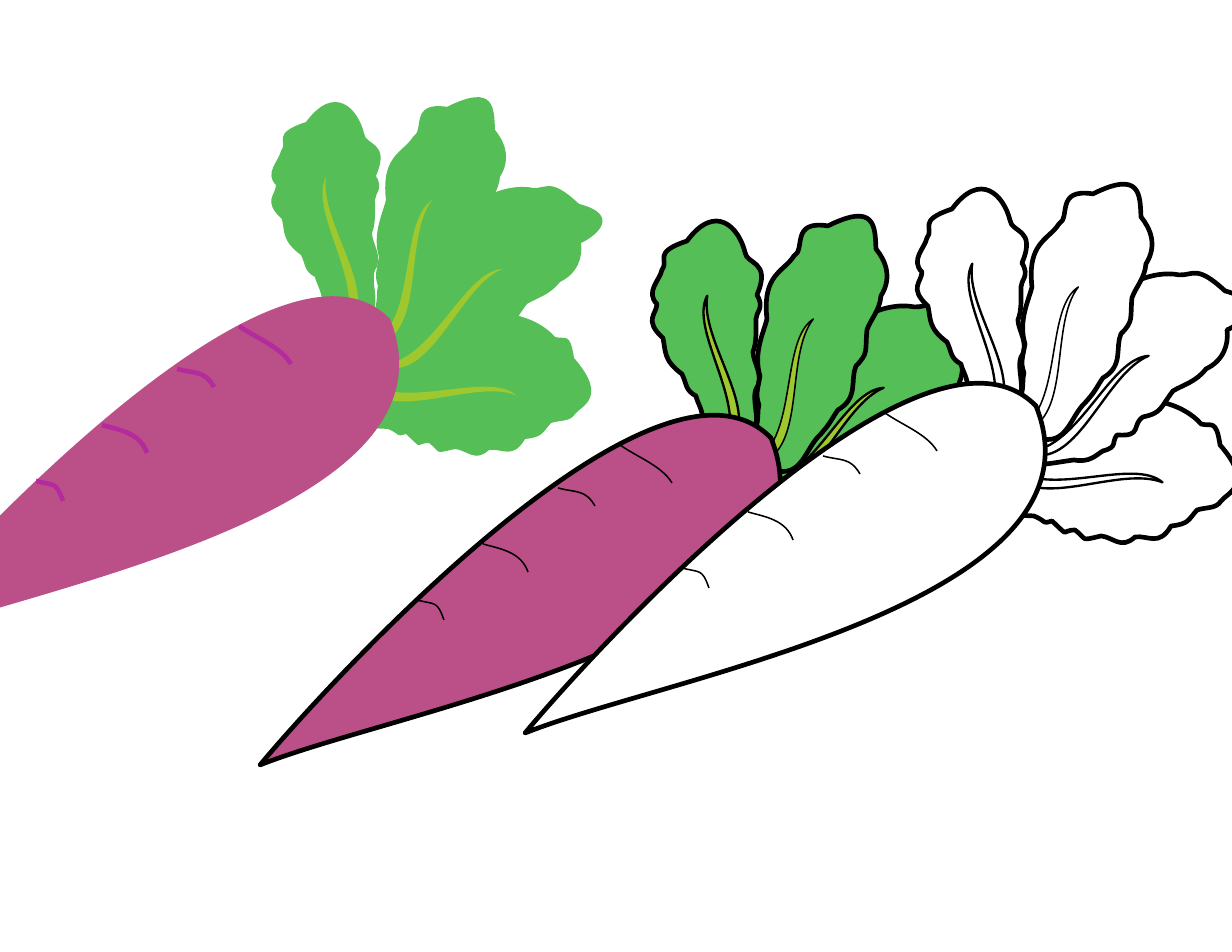
import math

import pptx
import pptx.dml.color
import pptx.oxml
import pptx.oxml.ns
import pptx.util

PX = 914400 / 112
STEPS = 16
COLORS = {
    "leaf": "56BE56",
    "vein": "9EC82D",
    "root": "BB5088",
    "crease": "B42B9D",
    "ink": "000000",
    "paper": "FFFFFF",
}

UPRIGHT_LEAF = [
    (427, 27), (456, -12), (479, 14), (485, 38), (486, 51), (512, 46), (497, 81),
    (505, 94), (496, 98), (496, 105), (496, 115), (497, 128), (493, 138),
    (493, 148), (505, 163), (496, 175), (490, 191), (509, 219), (479, 226),
    (460, 230), (447, 215), (443, 203), (440, 190), (438, 190), (436, 182),
    (425, 176), (427, 170), (422, 160), (403, 146), (406, 137), (403, 124),
    (383, 106), (397, 100), (397, 90), (385, 78), (400, 66), (402, 56),
    (410, 46), (391, 39), (427, 27),
]
LOW_LEAF = [
    (695, 263), (730, 303), (702, 311), (696, 319), (691, 327), (681, 325), (672, 328),
    (663, 338), (664, 342), (646, 344), (634, 365), (623, 353), (610, 355),
    (596, 368), (588, 355), (576, 354), (554, 359), (563, 358), (550, 348),
    (535, 348), (546, 357), (527, 339), (516, 342), (523, 340), (509, 334),
    (500, 333), (492, 336), (480, 322), (467, 315), (431, 298), (429, 287),
    (429, 265), (449, 255), (464, 254), (479, 254), (479, 251), (489, 250),
    (498, 242), (505, 243), (518, 241), (539, 225), (562, 228), (577, 228),
    (618, 207), (660, 223), (676, 242), (686, 245), (691, 236), (695, 263),
]
SIDE_LEAF = [
    (700, 109), (746, 121), (712, 144), (702, 148), (704, 163), (698, 179), (681, 187),
    (671, 200), (658, 203), (648, 209), (635, 226), (637, 231), (618, 235),
    (606, 243), (618, 255), (592, 253), (586, 261), (593, 265), (578, 269),
    (571, 273), (565, 281), (549, 278), (533, 280), (495, 288), (486, 280),
    (472, 264), (483, 243), (494, 234), (506, 224), (504, 222), (511, 215),
    (513, 203), (520, 199), (528, 189), (535, 165), (556, 152), (568, 143),
    (587, 101), (630, 88), (654, 93), (668, 94), (671, 82), (700, 109),
]
TALL_LEAF = [
    (568, 12), (616, -12), (615, 13), (616, 35), (625, 46), (633, 63), (621, 82),
    (620, 96), (611, 105), (607, 116), (605, 137), (609, 139), (596, 152),
    (590, 166), (599, 184), (578, 196), (571, 206), (571, 209), (560, 221),
    (545, 235), (542, 265), (513, 256), (494, 251), (492, 230), (496, 215),
    (499, 202), (497, 200), (499, 191), (495, 180), (498, 175), (500, 162),
    (493, 139), (504, 118), (507, 105), (502, 60), (524, 58), (534, 42),
    (546, 36), (530, 6), (568, 12),
]
VEIN = [
    (72, -23), (27, -25), (-33, 43), (-72, 20), (-72, 20), (-72, 15), (-72, 15),
    (-26, 27), (37, -37), (72, -23),
]
ROOT = [(0, 551), (140, 495), (590, 421), (511, 224), (395, 105), (52, 488), (0, 551)]
CREASES = [
    [(360, 231), (377, 243), (402, 252), (412, 269)],
    [(298, 274), (316, 279), (325, 275), (335, 292)],
    [(223, 330), (241, 335), (261, 338), (268, 358)],
    [(157, 386), (175, 391), (177, 386), (184, 406)],
]


def turned(points, degrees):
    cos, sin = math.cos(math.radians(degrees)), math.sin(math.radians(degrees))
    return [(x * cos - y * sin, x * sin + y * cos) for x, y in points]


def shifted(points, dx, dy):
    return [(x + dx, y + dy) for x, y in points]


def curve_bounds(outline):
    points = [outline[0]]
    for start in range(0, len(outline) - 1, 3):
        corners = list(zip(*outline[start:start + 4]))
        for step in range(1, STEPS + 1):
            t = step / STEPS
            weights = ((1 - t) ** 3, 3 * t * (1 - t) ** 2, 3 * t * t * (1 - t), t ** 3)
            points.append(tuple(sum(w * v for w, v in zip(weights, axis)) for axis in corners))
    xs, ys = zip(*points)
    return min(xs), min(ys), max(xs), max(ys)


def upright_outline(outline, degrees):
    upright = turned(outline, -degrees)
    left, top, right, bottom = curve_bounds(upright)
    cx, cy = (left + right) / 2, (top + bottom) / 2
    [(px, py)] = turned([(cx, cy)], degrees)
    return shifted(upright, px - cx, py - cy)


def bend_segments(shape, outline):
    name = pptx.oxml.ns.qn
    [path] = shape._element.iter(name("a:path"))
    lines = path.findall(name("a:lnTo"))
    for start in range(0, len(lines), 3):
        curve = pptx.oxml.parse_xml(f"<a:cubicBezTo {pptx.oxml.ns.nsdecls('a')}/>")
        lines[start].addprevious(curve)
        for line in lines[start:start + 3]:
            curve.append(line[0])
            path.remove(line)
    left, top, right, bottom = (round(edge * PX) for edge in curve_bounds(outline))
    for point, (x, y) in zip(path.iter(name("a:pt")), outline):
        point.set("x", str(round(x * PX) - left))
        point.set("y", str(round(y * PX) - top))
    shape.left, shape.top = left, top
    shape.width, shape.height = right - left, bottom - top
    path.set("w", str(right - left))
    path.set("h", str(bottom - top))


def color_of(name):
    return pptx.dml.color.RGBColor.from_string(COLORS[name])


def draw_outline(group, box, outline, fill, line, width, turn=0, closed=True):
    outline = upright_outline(shifted(outline, *box), turn)
    vertices = [(x * PX, y * PX) for x, y in outline]
    builder = group.shapes.build_freeform(*vertices[0])
    builder.add_line_segments(vertices[1:], close=closed)
    shape = builder.convert_to_shape()
    bend_segments(shape, outline)
    shape.rotation = turn
    shape.shadow.inherit = False
    if fill:
        shape.fill.solid()
        shape.fill.fore_color.rgb = color_of(fill)
    else:
        shape.fill.background()
    if line:
        shape.line.color.rgb = color_of(line)
        shape.line.width = pptx.util.Pt(width)
    else:
        shape.line.fill.background()


def draw_radish(page, box, leaf, vein, root, line, crease, crease_fill, crease_width):
    group = page.shapes.add_group_shape()

    def draw_leaf(outline, turn):
        draw_outline(group, box, outline, leaf, line, 3, turn)

    def draw_vein(center, turn, width=1.5):
        outline = shifted(turned(VEIN, turn), *center)
        draw_outline(group, box, outline, vein, line, width, turn)

    draw_leaf(UPRIGHT_LEAF, 0)
    draw_leaf(LOW_LEAF, 100.5)
    draw_vein((461, 156), 277.3)
    draw_vein((562, 298), 19.6)
    draw_leaf(SIDE_LEAF, 62.9)
    draw_vein((568, 225), 335.2)
    draw_leaf(TALL_LEAF, 30)
    draw_vein((530, 177), 305.7, 1)
    draw_outline(group, box, ROOT, root, line, 3)
    for outline in CREASES:
        draw_outline(group, box, outline, crease_fill, crease, crease_width, closed=False)


def main():
    deck = pptx.Presentation()
    deck.slide_width = pptx.util.Emu(round(1232 * PX))
    deck.slide_height = pptx.util.Emu(round(952 * PX))
    page = deck.slides.add_slide(deck.slide_layouts[6])
    draw_radish(page, (260, 214), "leaf", "vein", "root", "ink", "ink", None, 1)
    draw_radish(page, (-121, 95), "leaf", "vein", "root", None, "crease", None, 3)
    draw_radish(page, (525, 182), "paper", "paper", "paper", "ink", "ink", "paper", 1)
    deck.save("out.pptx")


if __name__ == "__main__":
    main()
